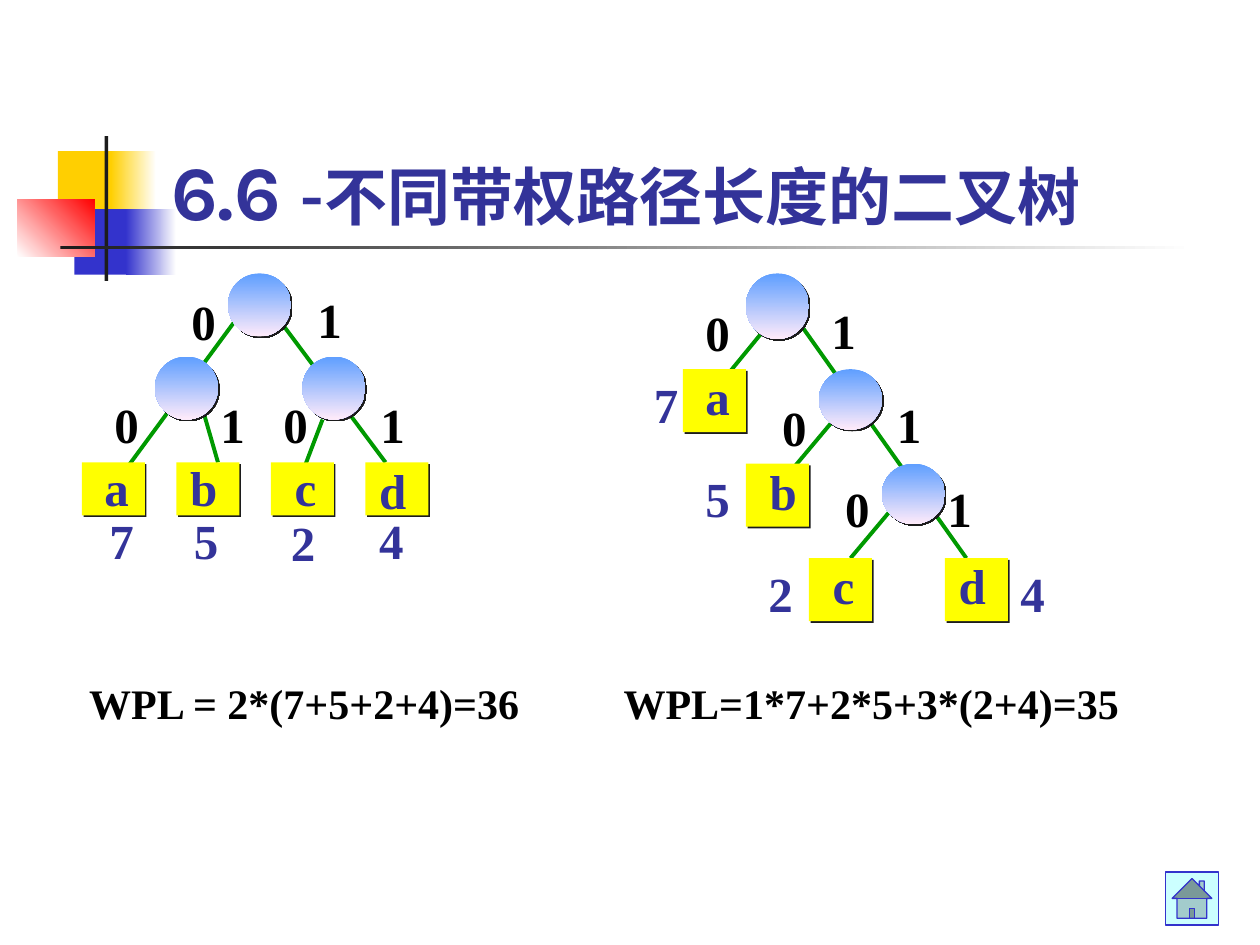
from lxml import etree
from pptx import Presentation
from pptx import util as u
from pptx.dml import color
from pptx.enum import shapes, text
from pptx.oxml import ns

SERIF = "Times New Roman"
NAVY, BLACK, CHARCOAL = "333399", "000000", "1C1C1C"
GOLD, BLUE, WHITE = "FFCF01", "3333CC", "FFFFFF"
NODE, LABEL_HEIGHT = 0.5, 0.57
LETTER_WIDTH = {"b": 0.41, "c": 0.37, "d": 0.41}


def rgb(hex_code):
    return color.RGBColor.from_string(hex_code)


def add_run(paragraph, wording, size=28, font=SERIF, ink=NAVY, bold=True):
    run = paragraph.add_run()
    run.text = wording
    run.font.size = u.Pt(size)
    run.font.name = font
    run.font.bold = bold
    run.font.color.rgb = rgb(ink)


class TreeSlide:
    edge_color, edge_width = "009900", 2.25
    leaf_color = "FFFF00"
    node_colors = ("5E9EFF", "FFEBFA")

    def __init__(self, slide):
        self.slide = slide

    def shape(self, kind, box, fill, angle=0, line=None):
        """Draw a preset; a pair of fill colours makes a gradient."""
        shape = self.slide.shapes.add_shape(kind, *map(u.Inches, box))
        shape.shadow.inherit = False
        if isinstance(fill, tuple):
            shape.fill.gradient()
            shape.fill.gradient_angle = angle
            for stop, hex_code in zip(shape.fill.gradient_stops, fill):
                stop.color.rgb = rgb(hex_code)
        else:
            shape.fill.solid()
            shape.fill.fore_color.rgb = rgb(fill)
        if line:
            shape.line.color.rgb = rgb(line)
            shape.line.width = u.Pt(0.75)
        else:
            shape.line.fill.background()
        return shape

    def drop_shadow(self, shape):
        effects = shape._element.spPr.find(ns.qn("a:effectLst"))
        shadow = etree.SubElement(
            effects, ns.qn("a:outerShdw"), blurRad="0",
            dist=str(u.Pt(1.4)), dir="2700000", algn="ctr", rotWithShape="0")
        etree.SubElement(shadow, ns.qn("a:srgbClr"), val=CHARCOAL)

    def node(self, left, top, height):
        self.drop_shadow(self.shape(
            shapes.MSO_SHAPE.OVAL, (left, top, NODE, height),
            self.node_colors, angle=270))

    def leaf(self, left, top, height):
        self.drop_shadow(self.shape(
            shapes.MSO_SHAPE.RECTANGLE, (left, top, NODE, height),
            self.leaf_color))

    def edge(self, *ends):
        edge = self.slide.shapes.add_connector(
            shapes.MSO_CONNECTOR.STRAIGHT, *map(u.Inches, ends))
        edge.line.color.rgb = rgb(self.edge_color)
        edge.line.width = u.Pt(self.edge_width)
        etree.SubElement(edge._element.spPr, ns.qn("a:effectLst"))

    def text_box(self, box, anchor, align=text.PP_ALIGN.CENTER, wrap=True, grow=True):
        """Add an empty text box and return its first paragraph."""
        frame = self.slide.shapes.add_textbox(*map(u.Inches, box)).text_frame
        frame.word_wrap = wrap
        frame.vertical_anchor = anchor
        if grow:
            frame.auto_size = text.MSO_AUTO_SIZE.SHAPE_TO_FIT_TEXT
        paragraph = frame.paragraphs[0]
        paragraph.alignment = align
        return paragraph

    def label(self, wording, left, top, ink=NAVY):
        box = (left, top, LETTER_WIDTH.get(wording, 0.39), LABEL_HEIGHT)
        add_run(self.text_box(box, text.MSO_ANCHOR.MIDDLE, wrap=False), wording, ink=ink)

    def formula(self, wording, left, width):
        paragraph = self.text_box((left, 5.33, width, 0.5), text.MSO_ANCHOR.TOP)
        paragraph.space_before = u.Pt(15)
        add_run(paragraph, wording, size=24, ink=BLACK)

    def tree(self, edges, nodes, leaves, bits, captions):
        for ends in edges:
            self.edge(*ends)
        for place in nodes:
            self.node(*place)
        for place in leaves:
            self.leaf(*place)
        for bit in bits:
            self.label(*bit, ink=BLACK)
        for caption in captions:
            self.label(*caption)


def main():
    deck = Presentation()
    deck.slide_width, deck.slide_height = u.Inches(10), u.Inches(7.5)
    page = TreeSlide(deck.slides.add_slide(deck.slide_layouts[6]))

    # Corner blocks and rules
    for box, fill, angle in (
        ((0.46, 1.2, 0.48, 0.52), GOLD, 0),
        ((0.88, 1.2, 0.36, 0.52), (GOLD, WHITE), 0),
        ((0.59, 1.66, 0.46, 0.52), BLUE, 0),
        ((1, 1.66, 0.4, 0.52), (BLUE, WHITE), 0),
        ((0.14, 1.58, 0.61, 0.46), (WHITE, "FF0000"), 45),
        ((0.83, 1.08, 0.03, 1.15), CHARCOAL, 0),
        ((0.48, 1.95, 9, 0.03), (CHARCOAL, WHITE), 0),
    ):
        page.shape(shapes.MSO_SHAPE.RECTANGLE, box, fill, angle)

    # Title
    title = page.text_box((1.26, 0.67, 8.52, 1.25), text.MSO_ANCHOR.BOTTOM,
                          align=text.PP_ALIGN.LEFT, grow=False)
    add_run(title, "6.6 ", size=44, font="Karla")
    add_run(title, "-不同带权路径长度的二叉树", size=36, font="Karla")

    # Home button
    page.shape(shapes.MSO_SHAPE.ACTION_BUTTON_HOME,
               (9.25, 6.92, 0.42, 0.42), "CCFFFF", line=BLUE)

    # Balanced tree: four leaves, all at depth two
    page.tree(
        edges=[(2.56, 3.33, 2.4, 3.75), (2.06, 2.33, 3.06, 3.67),
               (1.56, 3.08, 1.73, 3.67), (1.9, 2.5, 0.98, 3.75)],
        nodes=[(left, top, NODE) for left, top in
               ((1.81, 2.17), (1.23, 2.83), (2.4, 2.83))],
        leaves=[(0.65 + 0.75 * i, 3.67, 0.42) for i in range(4)],
        bits=[("0", 1.42, 2.26), ("1", 2.42, 2.25), ("0", 0.81, 3.08),
              ("1", 1.65, 3.08), ("0", 2.15, 3.08), ("1", 2.92, 3.08)],
        captions=[("a", 0.73, 3.58), ("b", 1.41, 3.58),
                  ("c", 2.24, 3.58), ("d", 2.91, 3.6),
                  ("7", 0.77, 4), ("5", 1.44, 4), ("2", 2.21, 4.02), ("4", 2.91, 4)],
    )

    # Skewed tree: heavier leaves nearer the root
    leaf_places = [(5.42, 2.93), (5.92, 3.68), (6.42, 4.43), (7.5, 4.43)]
    page.tree(
        edges=[(6.08, 2.6, 5.67, 3.1), (6.67, 3.27, 6.25, 3.77),
               (7.17, 3.93, 6.75, 4.43), (6.25, 2.43, 7.67, 4.43)],
        nodes=[(5.92, 2.17, 0.52), (7, 3.68, 0.48), (6.5, 2.93, 0.48)],
        leaves=[(left, top, NODE) for left, top in leaf_places],
        bits=[("0", 5.5, 2.35), ("0", 6.11, 3.1), ("0", 6.61, 3.75),
              ("1", 6.5, 2.33), ("1", 7.02, 3.08), ("1", 7.42, 3.75)],
        captions=[("a", 5.5, 2.86), ("b", 6.01, 3.61),
                  ("c", 6.51, 4.36), ("d", 7.51, 4.36),
                  ("7", 5.09, 2.92), ("5", 5.5, 3.67), ("2", 6, 4.42), ("4", 8, 4.42)],
    )

    # Weighted path lengths
    page.formula("WPL = 2*(7+5+2+4)=36", 0.33, 4.17)
    page.formula("WPL=1*7+2*5+3*(2+4)=35", 4.75, 4.33)

    deck.save("out.pptx")


if __name__ == "__main__":
    main()
